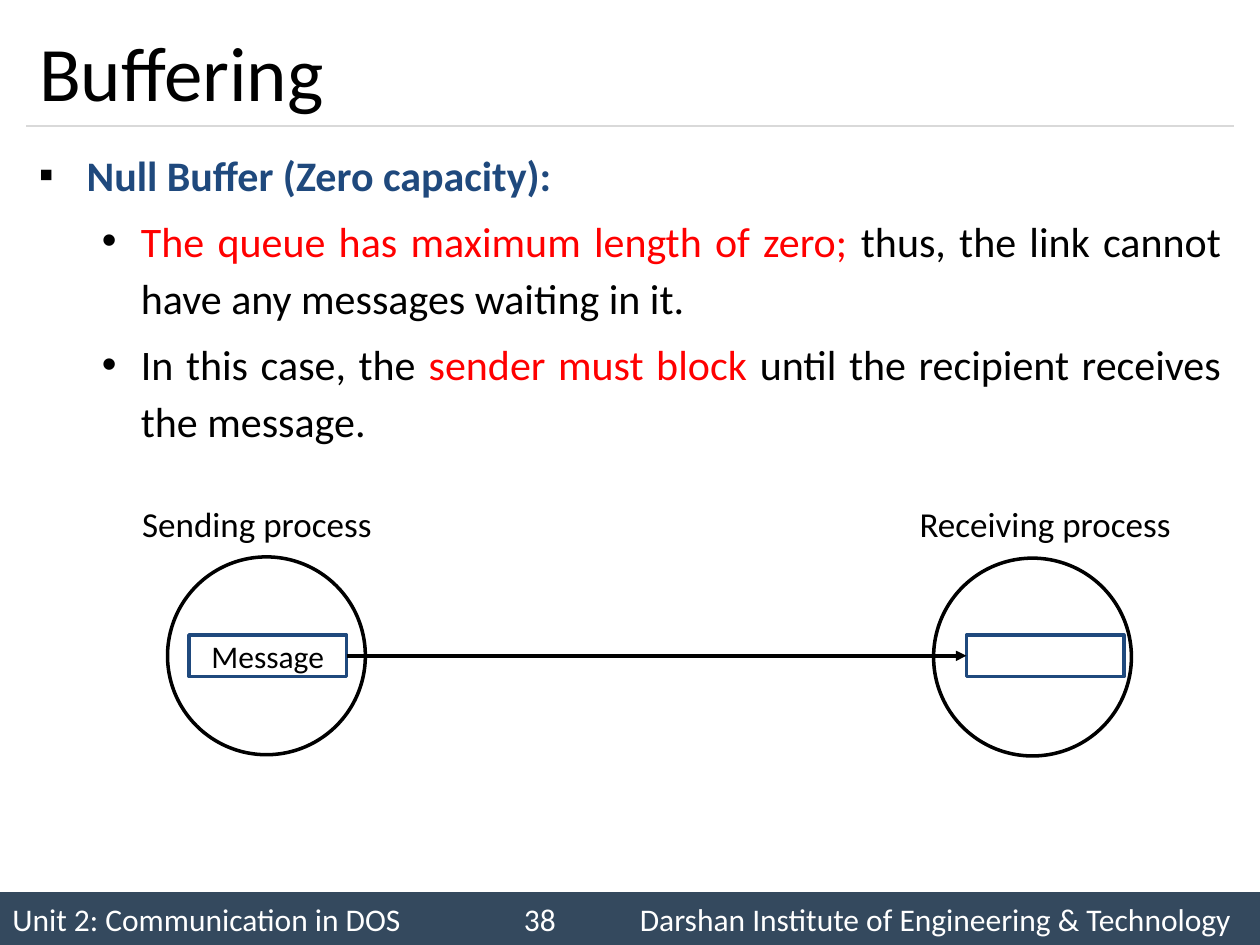
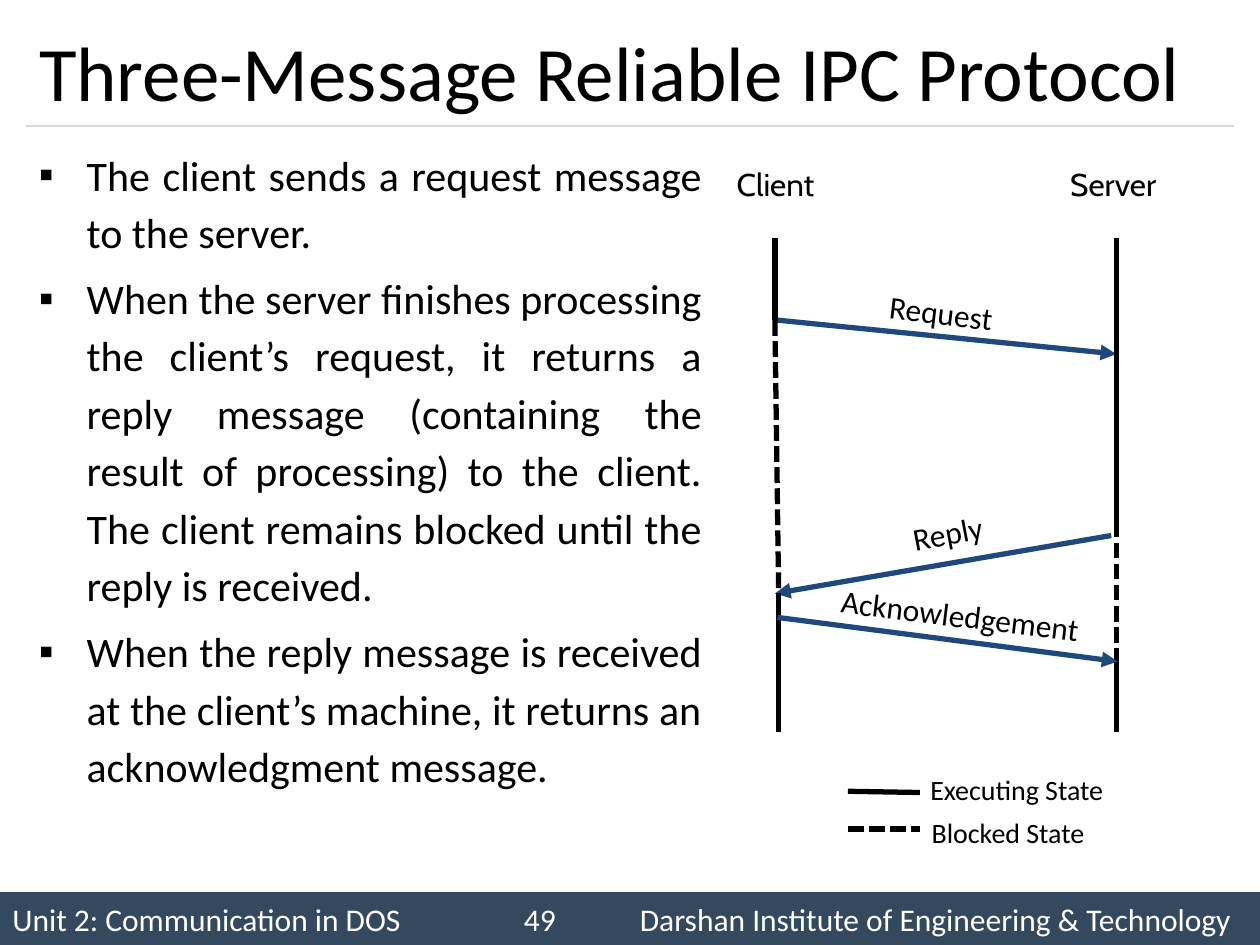
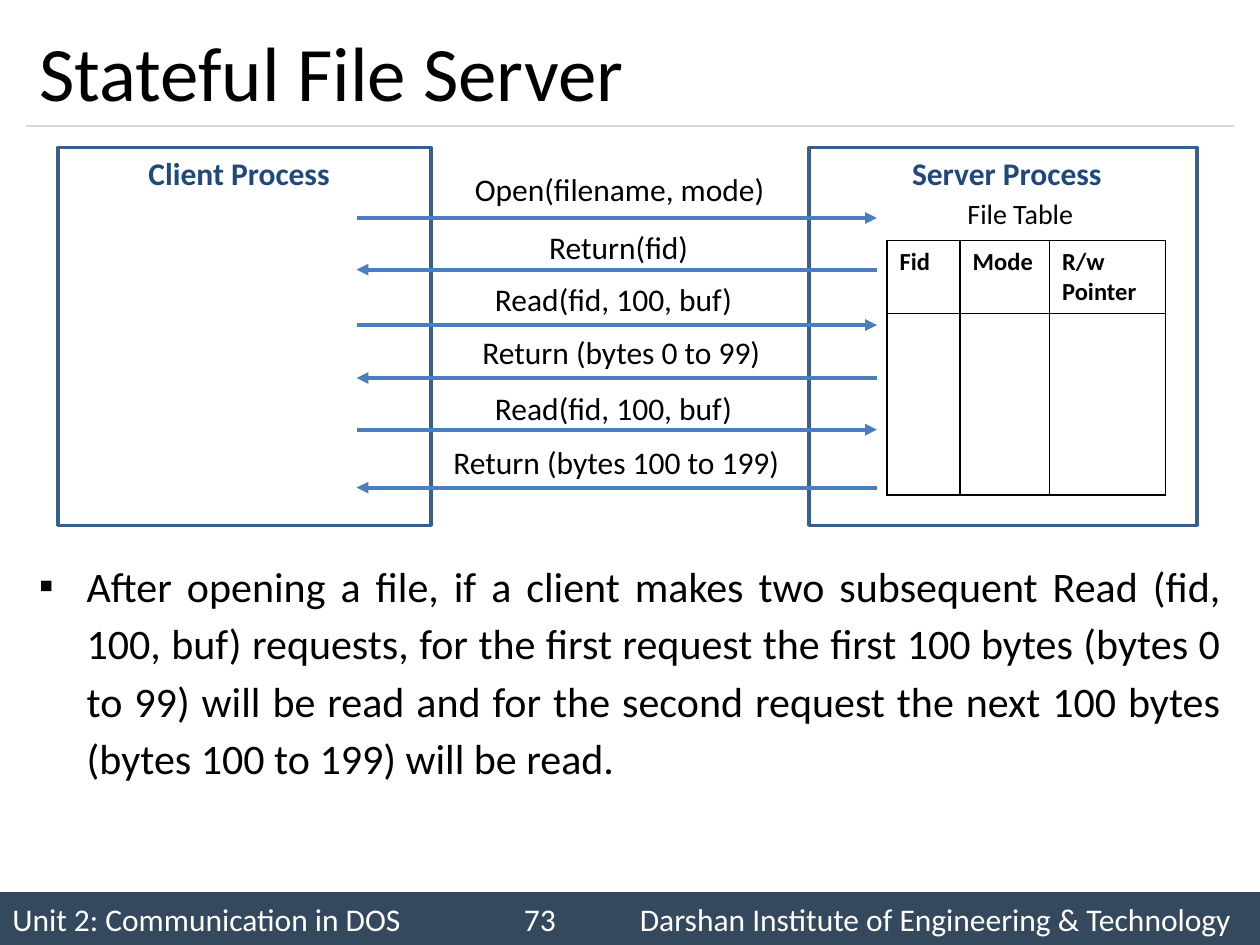
"""Build three slides on buffering, reliable messaging and stateful file servers."""
from dataclasses import dataclass
from typing import NamedTuple, Optional

import lxml.etree
import pptx
import pptx.dml.color
import pptx.enum.dml
import pptx.enum.shapes
import pptx.enum.text
import pptx.oxml.ns
import pptx.util

PX = 9144
FONT = "Calibri"
COLORS = {
    "black": "000000",
    "white": "FFFFFF",
    "band": "34495E",
    "rule": "D9D9D9",
    "navy": "1F497D",
    "red": "FF0000",
    "frame": "3A5F8C",
    "call": "4B7EBC",
}
ALIGN = pptx.enum.text.PP_ALIGN
ANCHOR = pptx.enum.text.MSO_ANCHOR
SHAPE = pptx.enum.shapes.MSO_SHAPE
qn = pptx.oxml.ns.qn


class Box(NamedTuple):
    """Place and size in px."""
    left: int
    top: int
    width: int
    height: int


class Run(NamedTuple):
    """A stretch of text in one colour."""
    text: str
    color: str = "black"
    bold: bool = False


class Bullet(NamedTuple):
    """A bulleted paragraph, at level 0 or 1."""
    runs: list[Run]
    level: int = 0


class BulletStyle(NamedTuple):
    """Mark and indents of one bullet level."""
    mark: str
    margin: int
    hanging: int


@dataclass(frozen=True)
class Stroke:
    """A straight line and how it is drawn."""
    start: tuple[int, int]
    end: tuple[int, int]
    color: str = "black"
    weight: float = 3
    dashed: bool = False
    arrow: bool = False


@dataclass(frozen=True)
class Label:
    """A one-line text, with its place and style."""
    text: str
    box: Box
    size: int = 18
    color: str = "black"
    bold: bool = False
    centered: bool = False
    font: str = FONT
    turn: float = 0


@dataclass(frozen=True)
class Call:
    """A message between client and server, with the height of its arrow."""
    label: Label
    y: int


BULLETS = [BulletStyle("▪", 38, 38), BulletStyle("•", 81, 31)]


def px(length: int) -> int:
    """Turn px into EMU."""
    return length * PX


def emu(box: Box) -> list[int]:
    """Turn a box into EMU."""
    return [px(length) for length in box]


def rgb(color: str) -> pptx.dml.color.RGBColor:
    """Look up a named colour."""
    return pptx.dml.color.RGBColor.from_string(COLORS[color])


def add_run(paragraph, run: Run, size: int, font: str = FONT) -> None:
    """Add one formatted run."""
    part = paragraph.add_run()
    part.text = run.text
    part.font.size = pptx.util.Pt(size)
    part.font.name = font
    part.font.bold = run.bold
    part.font.color.rgb = rgb(run.color)


def add_block(slide, kind, box: Box, fill: Optional[str] = None,
              line: Optional[str] = None, weight: float = 2):
    """Add a flat preset shape."""
    block = slide.shapes.add_shape(kind, *emu(box))
    block.shadow.inherit = False
    if fill:
        block.fill.solid()
        block.fill.fore_color.rgb = rgb(fill)
    else:
        block.fill.background()
    if line:
        block.line.color.rgb = rgb(line)
        block.line.width = pptx.util.Pt(weight)
    else:
        block.line.fill.background()
    return block


def write_label(holder, label: Label) -> None:
    """Write a label's text into a shape."""
    paragraph = holder.text_frame.paragraphs[0]
    paragraph.alignment = ALIGN.CENTER if label.centered else ALIGN.LEFT
    add_run(paragraph, Run(label.text, label.color, label.bold), label.size, label.font)


def add_label(slide, label: Label) -> None:
    """Add a label as a text box."""
    holder = slide.shapes.add_textbox(*emu(label.box))
    holder.text_frame.word_wrap = label.centered
    write_label(holder, label)


def add_plate(slide, label: Label, line: str) -> object:
    """Add a label on a white, possibly turned, rectangle."""
    plate = add_block(slide, SHAPE.RECTANGLE, label.box, "white", line)
    plate.rotation = label.turn
    plate.text_frame.vertical_anchor = ANCHOR.MIDDLE
    write_label(plate, label)
    return plate


def add_stroke(slide, stroke: Stroke):
    """Add a straight connector."""
    ends = [px(length) for length in stroke.start + stroke.end]
    connector = slide.shapes.add_connector(pptx.enum.shapes.MSO_CONNECTOR.STRAIGHT, *ends)
    connector.line.color.rgb = rgb(stroke.color)
    connector.line.width = pptx.util.Pt(stroke.weight)
    if stroke.dashed:
        connector.line.dash_style = pptx.enum.dml.MSO_LINE.SQUARE_DOT
    if stroke.arrow:
        line = connector.line._get_or_add_ln()
        lxml.etree.SubElement(line, qn("a:tailEnd"), type="triangle")
    lxml.etree.SubElement(connector._element.spPr, qn("a:effectLst"))
    return connector


def add_bullets(slide, box: Box, bullets: list[Bullet]) -> None:
    """Add a justified, bulleted body text."""
    frame = slide.shapes.add_textbox(*emu(box)).text_frame
    frame.word_wrap = True
    for index, bullet in enumerate(bullets):
        paragraph = frame.add_paragraph() if index else frame.paragraphs[0]
        style = BULLETS[bullet.level]
        properties = paragraph._p.get_or_add_pPr()
        properties.set("marL", str(px(style.margin)))
        properties.set("indent", str(-px(style.hanging)))
        tint = lxml.etree.SubElement(properties, qn("a:buClr"))
        lxml.etree.SubElement(tint, qn("a:srgbClr"), val=COLORS["black"])
        lxml.etree.SubElement(properties, qn("a:buFont"), typeface="Arial")
        lxml.etree.SubElement(properties, qn("a:buChar"), char=style.mark)
        paragraph.level = bullet.level
        paragraph.alignment = ALIGN.JUSTIFY
        paragraph.line_spacing = 1.14
        if index:
            paragraph.space_before = pptx.util.Pt(4.8)
        for run in bullet.runs:
            add_run(paragraph, run, 24)


def add_footer(slide, number: int) -> None:
    """Add the footer band with its three tabbed parts."""
    band = add_block(slide, SHAPE.RECTANGLE, Box(0, 708, 1000, 42), "band")
    band.text_frame.vertical_anchor = ANCHOR.MIDDLE
    paragraph = band.text_frame.paragraphs[0]
    tabs = lxml.etree.SubElement(paragraph._p.get_or_add_pPr(), qn("a:tabLst"))
    for stop in (406, 498):
        lxml.etree.SubElement(tabs, qn("a:tab"), pos=str(px(stop)), algn="l")
    paragraph.alignment = ALIGN.LEFT
    parts = ("Unit 2: Communication in DOS", str(number),
             "Darshan Institute of Engineering & Technology")
    add_run(paragraph, Run("\t".join(parts), "white"), 18)


def start_slide(deck, title: str, number: int):
    """Add a slide with its title, rule and footer."""
    slide = deck.slides.add_slide(deck.slide_layouts.get_by_name("Title Only"))
    add_footer(slide, number)
    add_stroke(slide, Stroke((21, 100), (979, 100), "rule", 0.75))
    heading = slide.shapes.title
    heading.left, heading.top, heading.width, heading.height = emu(Box(21, 12, 958, 88))
    frame = heading.text_frame
    frame.auto_size = pptx.enum.text.MSO_AUTO_SIZE.NONE
    frame.vertical_anchor = ANCHOR.MIDDLE
    frame.paragraphs[0].alignment = ALIGN.LEFT
    add_run(frame.paragraphs[0], Run(title), 44)
    return slide


def build_buffering(deck) -> None:
    """Build the null buffer slide."""
    slide = start_slide(deck, "Buffering", 38)
    add_bullets(slide, Box(21, 108, 958, 583), [
        Bullet([Run("Null Buffer (Zero capacity):", "navy", True)]),
        Bullet([Run("The queue has maximum length of zero; ", "red"),
                Run("thus, the link cannot have any messages waiting in it.")], 1),
        Bullet([Run("In this case, the "), Run("sender must block ", "red"),
                Run("until the recipient receives the message.")], 1),
    ])
    add_block(slide, SHAPE.OVAL, Box(133, 442, 157, 157), "white", "black")
    message = add_plate(slide, Label("Message", Box(150, 504, 125, 33), centered=True), "navy")
    add_block(slide, SHAPE.OVAL, Box(741, 443, 157, 157), "white", "black")
    inbox = add_block(slide, SHAPE.RECTANGLE, Box(767, 504, 125, 33), "white", "navy")
    link = add_stroke(slide, Stroke((275, 520), (767, 520), weight=2, arrow=True))
    link.begin_connect(message, 3)
    link.end_connect(inbox, 1)
    add_label(slide, Label("Sending process", Box(103, 394, 217, 44), 20))
    add_label(slide, Label("Receiving process", Box(709, 394, 241, 44), 20, centered=True))


def build_protocol(deck) -> None:
    """Build the three-message protocol slide."""
    slide = start_slide(deck, "Three-Message Reliable IPC Protocol", 49)
    for name, box, turn in (
        ("Reply", Box(653, 399, 198, 48), 349.1),
        ("Request", Box(648, 224, 198, 48), 6.7),
        ("Acknowledgement", Box(642, 468, 240, 40), 7),
    ):
        add_plate(slide, Label(name, box, centered=True, turn=turn), "white")
    add_bullets(slide, Box(21, 108, 546, 583), [
        Bullet([Run("The client sends a request message to the server.")]),
        Bullet([Run("When the server finishes processing the client’s request, it returns a "
                    "reply message (containing the result of processing) to the client. The "
                    "client remains blocked until the reply is received.")]),
        Bullet([Run("When the reply message is received at the client’s machine, it returns "
                    "an acknowledgment message.")]),
    ])
    for name, left in (("Client", 545), ("Server", 813)):
        add_label(slide, Label(name, Box(left, 126, 141, 40), centered=True, font="Cabin"))
    for stroke in (
        Stroke((886, 522), (886, 581)),
        Stroke((616, 254), (886, 281), "navy", arrow=True),
        Stroke((615, 189), (615, 254)),
        Stroke((882, 425), (615, 471), "navy", arrow=True),
        Stroke((886, 189), (886, 414)),
        Stroke((886, 414), (886, 532), dashed=True),
        Stroke((615, 254), (618, 471), dashed=True),
        Stroke((618, 471), (618, 581)),
        Stroke((673, 628), (730, 629)),
        Stroke((673, 658), (730, 658), dashed=True),
        Stroke((617, 490), (887, 525), "navy", arrow=True),
    ):
        add_stroke(slide, stroke)
    add_label(slide, Label("Executing State", Box(700, 608, 214, 37), 16, centered=True))
    add_label(slide, Label("Blocked State", Box(693, 642, 214, 37), 16, centered=True))


def add_file_table(slide) -> None:
    """Add the server's file table with thin black borders."""
    table = slide.shapes.add_table(2, 3, *emu(Box(704, 191, 221, 202))).table
    table.first_row = table.horz_banding = False
    for column, width in zip(table.columns, (58, 71, 92)):
        column.width = px(width)
    for row, height in zip(table.rows, (58, 144)):
        row.height = px(height)
    for cell in table.iter_cells():
        properties = cell._tc.get_or_add_tcPr()
        for side in ("a:lnL", "a:lnR", "a:lnT", "a:lnB"):
            border = lxml.etree.SubElement(properties, qn(side), w=str(pptx.util.Pt(1)))
            paint = lxml.etree.SubElement(border, qn("a:solidFill"))
            lxml.etree.SubElement(paint, qn("a:srgbClr"), val=COLORS["black"])
        cell.fill.background()
    for column, lines in enumerate((["Fid"], ["Mode"], ["R/w", "Pointer"])):
        frame = table.cell(0, column).text_frame
        for index, line in enumerate(lines):
            paragraph = frame.add_paragraph() if index else frame.paragraphs[0]
            add_run(paragraph, Run(line, bold=True), 14)


def build_file_server(deck) -> None:
    """Build the stateful file server slide."""
    slide = start_slide(deck, "Stateful File Server", 73)
    add_file_table(slide)
    for process, heading in (
        (Box(46, 117, 296, 300), Label("Client Process", Box(108, 117, 165, 40),
                                       color="navy", bold=True)),
        (Box(642, 117, 308, 300), Label("Server Process", Box(714, 117, 172, 40),
                                        color="navy", bold=True)),
    ):
        add_block(slide, SHAPE.RECTANGLE, process, line="frame")
        add_label(slide, heading)
    add_label(slide, Label("File Table", Box(758, 151, 105, 37), 16))
    client_end, server_end = 283, 696
    calls = [
        Call(Label("Open(filename, mode)", Box(367, 130, 253, 40)), 173),
        Call(Label("Return(fid)", Box(426, 176, 132, 40)), 214),
        Call(Label("Read(fid, 100, buf)", Box(383, 217, 211, 40)), 258),
        Call(Label("Return (bytes 0 to 99)", Box(373, 259, 243, 40)), 300),
        Call(Label("Read(fid, 100, buf)", Box(383, 304, 211, 40)), 341),
        Call(Label("Return (bytes 100 to 199)", Box(350, 347, 282, 40)), 387),
    ]
    for index, call in enumerate(calls):
        ends = [(client_end, call.y), (server_end, call.y)]
        start, end = reversed(ends) if index % 2 else ends
        add_stroke(slide, Stroke(start, end, "call", 2.25, arrow=True))
        add_label(slide, call.label)
    add_bullets(slide, Box(21, 434, 958, 258), [
        Bullet([Run("After opening a file, if a client makes two subsequent Read (fid, 100, buf) "
                    "requests, for the first request the first 100 bytes (bytes 0 to 99) will be "
                    "read and for the second request the next 100 bytes (bytes 100 to 199) will "
                    "be read.")]),
    ])


def main() -> None:
    """Build and save the deck."""
    deck = pptx.Presentation()
    deck.slide_width, deck.slide_height = px(1000), px(750)
    build_buffering(deck)
    build_protocol(deck)
    build_file_server(deck)
    deck.save("out.pptx")


if __name__ == "__main__":
    main()
